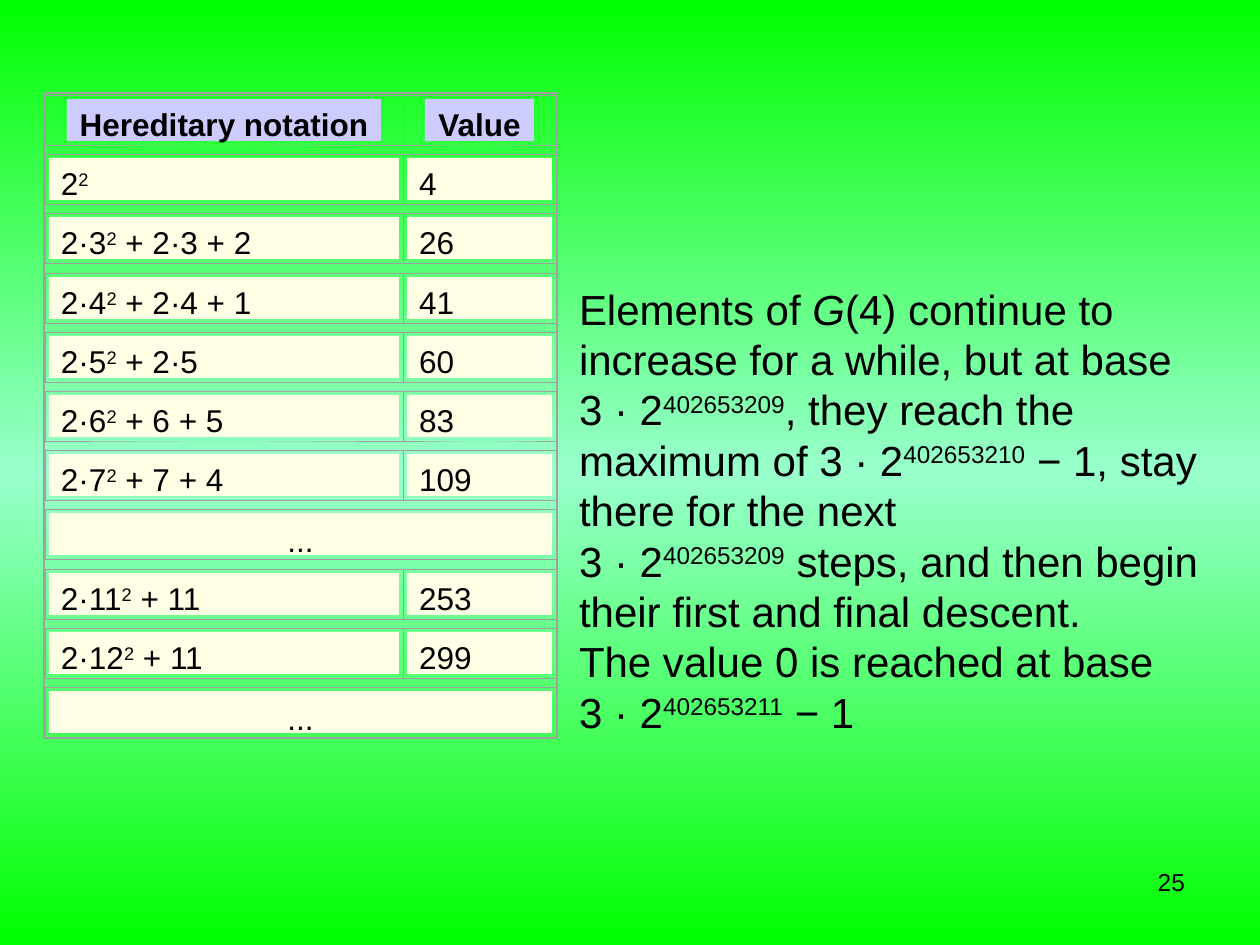
from copy import deepcopy
from dataclasses import dataclass

from pptx import Presentation
from pptx.dml.color import RGBColor
from pptx.enum.shapes import MSO_SHAPE
from pptx.enum.text import MSO_ANCHOR, PP_ALIGN
from pptx.oxml.ns import qn
from pptx.util import Pt

RECT = MSO_SHAPE.RECTANGLE
TOP = MSO_ANCHOR.TOP
LEFT, CENTER, RIGHT = PP_ALIGN.LEFT, PP_ALIGN.CENTER, PP_ALIGN.RIGHT


@dataclass(frozen=True)
class Theme:
    font: str = "Arial"
    text: str = "000000"
    header: str = "CCCCFF"
    cell: str = "FFFFE6"
    border: str = "A0A0A0"
    backdrop: tuple = ("00FF00", "99FFCC", "00FF00")
    table_size: int = 18
    body_size: int = 24
    number_size: int = 14
    leading: float = 1.2
    hairline: float = 0.1
    frame_line: float = 0.75


THEME = Theme()
PX_PER_INCH = 126
COL_X = (45, 403, 556)
FIRST_ROW_Y = 95
ROW_PITCH = 59.2
ROW_H = 50
CELL_PAD = 4
HEADERS = [("Hereditary notation", 67, 314), ("Value", 425, 109)]
ROWS = [
    ("2^2^", "4"),
    ("2·3^2^ + 2·3 + 2", "26"),
    ("2·4^2^ + 2·4 + 1", "41"),
    ("2·5^2^ + 2·5", "60"),
    ("2·6^2^ + 6 + 5", "83"),
    ("2·7^2^ + 7 + 4", "109"),
    ("...",),
    ("2·11^2^ + 11", "253"),
    ("2·12^2^ + 11", "299"),
    ("...",),
]
BODY = [
    "Elements of _G_(4) continue to increase for a while, but at base \n"
    "3 · 2^402653209^, they reach the maximum of 3 · 2^402653210^ − 1, "
    "stay there for the next \n3 · 2^402653209^ steps, and then begin "
    "their first and final descent.",
    "The value 0 is reached at base \n3 · 2^402653211^ − 1",
]


def px(n):
    return round(n * 914400 / PX_PER_INCH)


def rgb(code):
    return RGBColor.from_string(code)


def add_runs(p, text):
    for i, part in enumerate(text.split("^")):
        for j, piece in enumerate(part.split("_")):
            for k, line in enumerate(piece.split("\n")):
                if k:
                    p.add_line_break()
                if not line:
                    continue
                r = p.add_run()
                r.text = line
                if i % 2:
                    r.font._element.set("baseline", "30000")
                if j % 2:
                    r.font.italic = True


def write(sp, paragraphs, size, align=LEFT, top=6, bold=False, wrap=True):
    tf = sp.text_frame
    tf.word_wrap = wrap
    tf.vertical_anchor = TOP
    tf.margin_left = tf.margin_right = px(12)
    tf.margin_top, tf.margin_bottom = px(top), px(6)
    for i, text in enumerate(paragraphs):
        p = tf.add_paragraph() if i else tf.paragraphs[0]
        p.alignment = align
        p.line_spacing = Pt(size * THEME.leading)
        p.font.name = THEME.font
        p.font.size = Pt(size)
        p.font.bold = bold
        p.font.color.rgb = rgb(THEME.text)
        add_runs(p, text)


def add_rect(shapes, x, y, w, h, fill=None, line_width=None):
    sp = shapes.add_shape(RECT, px(x), px(y), px(w), px(h))
    sp.shadow.inherit = False
    if fill:
        sp.fill.solid()
        sp.fill.fore_color.rgb = rgb(fill)
    else:
        sp.fill.background()
    if line_width is None:
        sp.line.fill.background()
    else:
        sp.line.color.rgb = rgb(THEME.border)
        sp.line.width = Pt(line_width)
    return sp


def add_cell(shapes, text, fill, box, border, **style):
    sp = add_rect(shapes, *box, fill=fill)
    write(sp, [text], THEME.table_size, **style)
    add_rect(shapes, *border, line_width=THEME.hairline)


def add_notation_table(s):
    shapes = s.shapes.add_group_shape().shapes
    inner_h = ROW_H - 2 * CELL_PAD
    for col, (text, x, w) in enumerate(HEADERS):
        left, right = COL_X[col:col + 2]
        add_cell(shapes, text, THEME.header,
                 (x, FIRST_ROW_Y + CELL_PAD, w, inner_h),
                 (left, FIRST_ROW_Y, right - left, ROW_H),
                 align=CENTER, bold=True, wrap=False)
    for i, row in enumerate(ROWS, 1):
        y = round(FIRST_ROW_Y + i * ROW_PITCH)
        paired = len(row) == 2
        edges = COL_X if paired else (COL_X[0], COL_X[-1])
        align, top = (LEFT, 6) if paired else (CENTER, 8)
        for text, left, right in zip(row, edges, edges[1:]):
            w = right - left
            add_cell(shapes, text, THEME.cell,
                     (left + CELL_PAD, y + CELL_PAD, w - 2 * CELL_PAD, inner_h),
                     (left, y, w, ROW_H), align=align, top=top)
    add_rect(shapes, 44, 93, 513, 645, line_width=THEME.frame_line)


def add_text(s, box, paragraphs, size, **style):
    sp = s.shapes.add_textbox(*map(px, box))
    write(sp, paragraphs, size, **style)


def set_background(s):
    fill = s.background.fill
    fill.gradient()
    fill.gradient_angle = 270
    stop_list = s.element.find(".//" + qn("a:gsLst"))
    stop_list.append(deepcopy(stop_list[-1]))
    for i, (stop, color) in enumerate(zip(fill.gradient_stops, THEME.backdrop)):
        stop.position = i / 2
        stop.color.rgb = rgb(color)


def main():
    prs = Presentation()
    prs.slide_width, prs.slide_height = px(1260), px(945)
    s = prs.slides.add_slide(prs.slide_layouts[6])
    set_background(s)
    add_notation_table(s)
    add_text(s, (567, 283, 651, 510), BODY, THEME.body_size, top=0)
    add_text(s, (903, 861, 294, 66), ["25"], THEME.number_size, align=RIGHT)
    prs.save("out.pptx")


if __name__ == "__main__":
    main()
